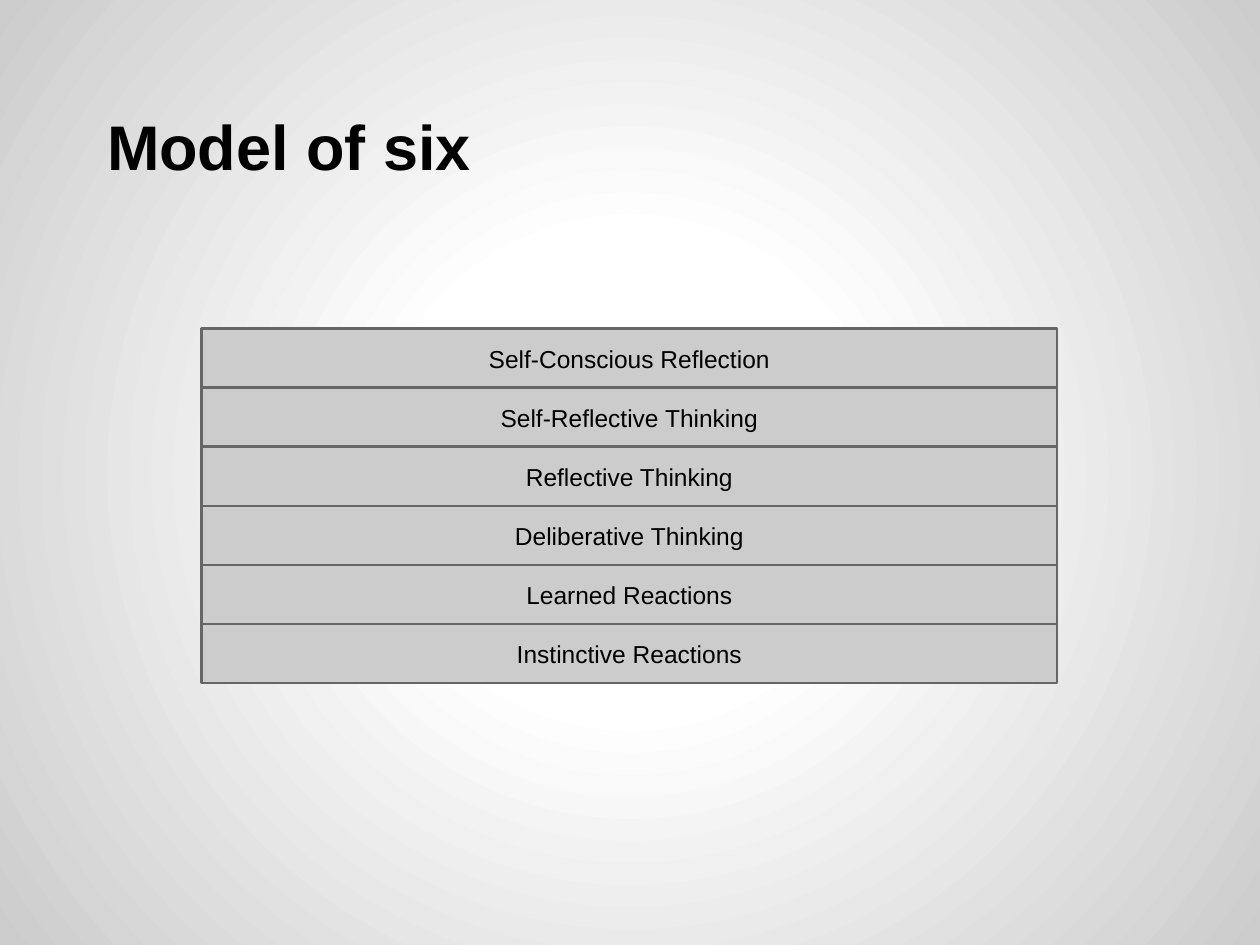
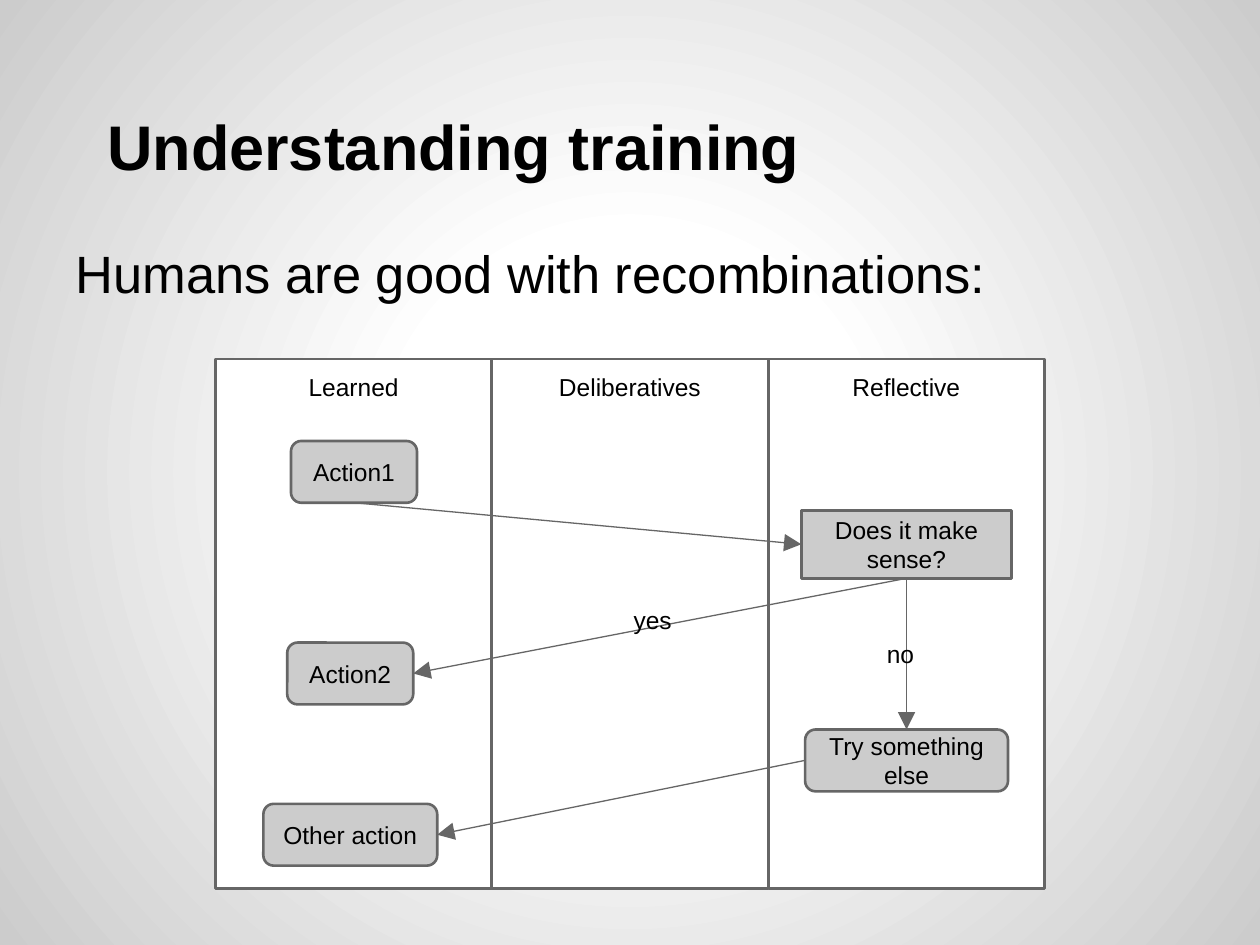
"""Build two slides on layers of thinking and on how training is understood."""
from dataclasses import dataclass
from typing import Any

from lxml.etree import SubElement
from pptx import Presentation
from pptx.dml.color import RGBColor
from pptx.enum.shapes import MSO_CONNECTOR as Connector, MSO_SHAPE as Preset
from pptx.enum.text import MSO_ANCHOR as Anchor, MSO_AUTO_SIZE as AutoSize, PP_ALIGN as Align
from pptx.oxml import parse_xml
from pptx.oxml.ns import nsdecls, qn
from pptx.util import Inches, Pt

TITLE_ONLY, TITLE_AND_BODY = 5, 1
TOP, LEFT, BOTTOM, RIGHT = range(4)


@dataclass(frozen=True)
class Theme:
    """Colours, font and sizes shared by the slides."""
    font: str = "Arial"
    text: str = "000000"
    paper: str = "FFFFFF"
    panel: str = "CCCCCC"
    stroke: str = "666666"
    title_size: float = 36
    body_size: float = 30
    label_size: float = 14
    outline: float = 1.5
    arrow: float = 0.75


THEME = Theme()


@dataclass(frozen=True)
class Frame:
    """A position and size in inches."""
    left: float
    top: float
    width: float
    height: float

    def lengths(self) -> tuple:
        """Return the four values as slide lengths."""
        return tuple(Inches(n) for n in (self.left, self.top, self.width, self.height))


@dataclass(frozen=True)
class Block:
    """An outlined shape with centred text."""
    text: str
    frame: Frame
    preset: Preset = Preset.ROUNDED_RECTANGLE
    fill: str = THEME.panel
    anchor: Anchor = Anchor.MIDDLE


@dataclass(frozen=True)
class Arrow:
    """A link between the sides of two named blocks."""
    start: str
    start_side: int
    end: str
    end_side: int


TITLE_FRAME = Frame(0.5, 0.3, 9, 1.25)
BODY_FRAME = Frame(0.5, 1.81, 9, 0.9)
LAYER_STACK = Frame(1.6, 2.61, 6.79, 2.81)
LANE_ROW = Frame(1.71, 2.85, 6.58, 4.2)

LAYERS = ("Self-Conscious Reflection", "Self-Reflective Thinking", "Reflective Thinking",
          "Deliberative Thinking", "Learned Reactions", "Instinctive Reactions")
LANES = ("Learned", "Deliberatives", "Reflective")
STEPS = (
    Block("Action1", Frame(2.31, 3.5, 1, 0.49)),
    Block("Try something else", Frame(6.39, 5.79, 1.61, 0.49)),
    Block("Action2", Frame(2.28, 5.1, 1, 0.49)),
    Block("Does it make sense?", Frame(6.36, 4.05, 1.67, 0.54), Preset.RECTANGLE),
    Block("Other action", Frame(2.09, 6.38, 1.38, 0.49)),
)
ARROWS = (
    Arrow("Action1", BOTTOM, "Does it make sense?", LEFT),
    Arrow("Does it make sense?", BOTTOM, "Try something else", TOP),
    Arrow("Does it make sense?", BOTTOM, "Action2", RIGHT),
    Arrow("Try something else", LEFT, "Other action", RIGHT),
)
ANSWERS = {"no": Frame(6.94, 4.97, 0.51, 0.5), "yes": Frame(4.93, 4.7, 0.73, 0.5)}


def apply(target: Any, values: dict) -> None:
    """Set each named attribute on the target."""
    for name, value in values.items():
        setattr(target, name, value)


def write(shape: Any, text: str, size: float = THEME.label_size, bold: bool = False,
          align: Align = Align.LEFT, anchor: Anchor = Anchor.TOP) -> Any:
    """Write one formatted paragraph and return it."""
    box = shape.text_frame
    sides = ("left", "top", "right", "bottom")
    apply(box, {f"margin_{side}": Inches(0.1) for side in sides})
    apply(box, {"word_wrap": True, "auto_size": AutoSize.NONE, "vertical_anchor": anchor})
    para = box.paragraphs[0]
    apply(para, {"alignment": align, "space_before": Pt(0)})
    span = para.add_run()
    span.text = text
    apply(span.font, {"name": THEME.font, "size": Pt(size), "bold": bold})
    span.font.color.rgb = RGBColor.from_string(THEME.text)
    return para


def indent(para: Any, margin: float, first: float) -> None:
    """Set the left margin and first-line indent of a paragraph without a bullet."""
    props = para._p.get_or_add_pPr()
    props.set("marL", str(Inches(margin)))
    props.set("indent", str(Inches(first)))
    SubElement(props, qn("a:buNone"))


def place(shape: Any, frame: Frame) -> None:
    """Move and resize a placeholder."""
    apply(shape, dict(zip(("left", "top", "width", "height"), frame.lengths())))


def add_page(deck: Any, layout: int, title: str) -> Any:
    """Add a slide with the shared title style."""
    page = deck.slides.add_slide(deck.slide_layouts[layout])
    place(page.shapes.title, TITLE_FRAME)
    para = write(page.shapes.title, title, THEME.title_size, True, anchor=Anchor.BOTTOM)
    indent(para, 0, 0.25)
    return page


def add_block(page: Any, block: Block) -> Any:
    """Draw a block and return its shape."""
    shape = page.shapes.add_shape(block.preset, *block.frame.lengths())
    shape.shadow.inherit = False
    shape.fill.solid()
    shape.fill.fore_color.rgb = RGBColor.from_string(block.fill)
    shape.line.color.rgb = RGBColor.from_string(THEME.stroke)
    shape.line.width = Pt(THEME.outline)
    write(shape, block.text, align=Align.CENTER, anchor=block.anchor)
    return shape


def add_arrow(page: Any, arrow: Arrow, shapes: dict) -> None:
    """Join two blocks with an arrow."""
    link = page.shapes.add_connector(Connector.STRAIGHT, 0, 0, 0, 0)
    link.begin_connect(shapes[arrow.start], arrow.start_side)
    link.end_connect(shapes[arrow.end], arrow.end_side)
    link.line.color.rgb = RGBColor.from_string(THEME.stroke)
    link.line.width = Pt(THEME.arrow)
    props = link.element.find(qn("p:spPr"))
    head = SubElement(props.find(qn("a:ln")), qn("a:tailEnd"))
    for name, value in {"type": "triangle", "w": "lg", "len": "lg"}.items():
        head.set(name, value)
    SubElement(props, qn("a:effectLst"))


def paint_background(deck: Any) -> None:
    """Give the slide master a radial gradient."""
    fill = deck.slide_master.background.fill
    fill.gradient()
    stops = ((0, THEME.paper), (30, THEME.paper), (100, THEME.panel))
    marks = "".join(f'<a:gs pos="{pos * 1000}"><a:srgbClr val="{colour}"/></a:gs>'
                    for pos, colour in stops)
    centre = " ".join(f'{side}="50000"' for side in "ltrb")
    radial = parse_xml(f'<a:gradFill {nsdecls("a")}><a:gsLst>{marks}</a:gsLst>'
                       f'<a:path path="circle"><a:fillToRect {centre}/></a:path></a:gradFill>')
    linear = next(deck.slide_master.element.iter(qn("a:gradFill")))
    linear.getparent().replace(linear, radial)


def build_layers(deck: Any) -> None:
    """Add the slide with the stack of six layers."""
    page = add_page(deck, TITLE_ONLY, "Model of six")
    stack, height = LAYER_STACK, LAYER_STACK.height / len(LAYERS)
    for row, layer in enumerate(LAYERS):
        frame = Frame(stack.left, stack.top + row * height, stack.width, height)
        add_block(page, Block(layer, frame, Preset.RECTANGLE))


def build_training(deck: Any) -> None:
    """Add the slide with the three-lane flow."""
    page = add_page(deck, TITLE_AND_BODY, "Understanding training")
    body = page.placeholders[1]
    place(body, BODY_FRAME)
    para = write(body, "Humans are good with recombinations:", THEME.body_size)
    para.space_before = Pt(6)
    indent(para, 0.38, -0.38)
    lanes, width = LANE_ROW, LANE_ROW.width / len(LANES)
    for column, lane in enumerate(LANES):
        frame = Frame(lanes.left + column * width, lanes.top, width, lanes.height)
        add_block(page, Block(lane, frame, Preset.RECTANGLE, THEME.paper, Anchor.TOP))
    shapes = {step.text: add_block(page, step) for step in STEPS}
    for arrow in ARROWS:
        add_arrow(page, arrow, shapes)
    for answer, frame in ANSWERS.items():
        write(page.shapes.add_textbox(*frame.lengths()), answer)


def main() -> None:
    """Build and save the deck."""
    deck = Presentation()
    apply(deck, {"slide_width": Inches(10), "slide_height": Inches(7.5)})
    paint_background(deck)
    build_layers(deck)
    build_training(deck)
    deck.save("out.pptx")


if __name__ == "__main__":
    main()
